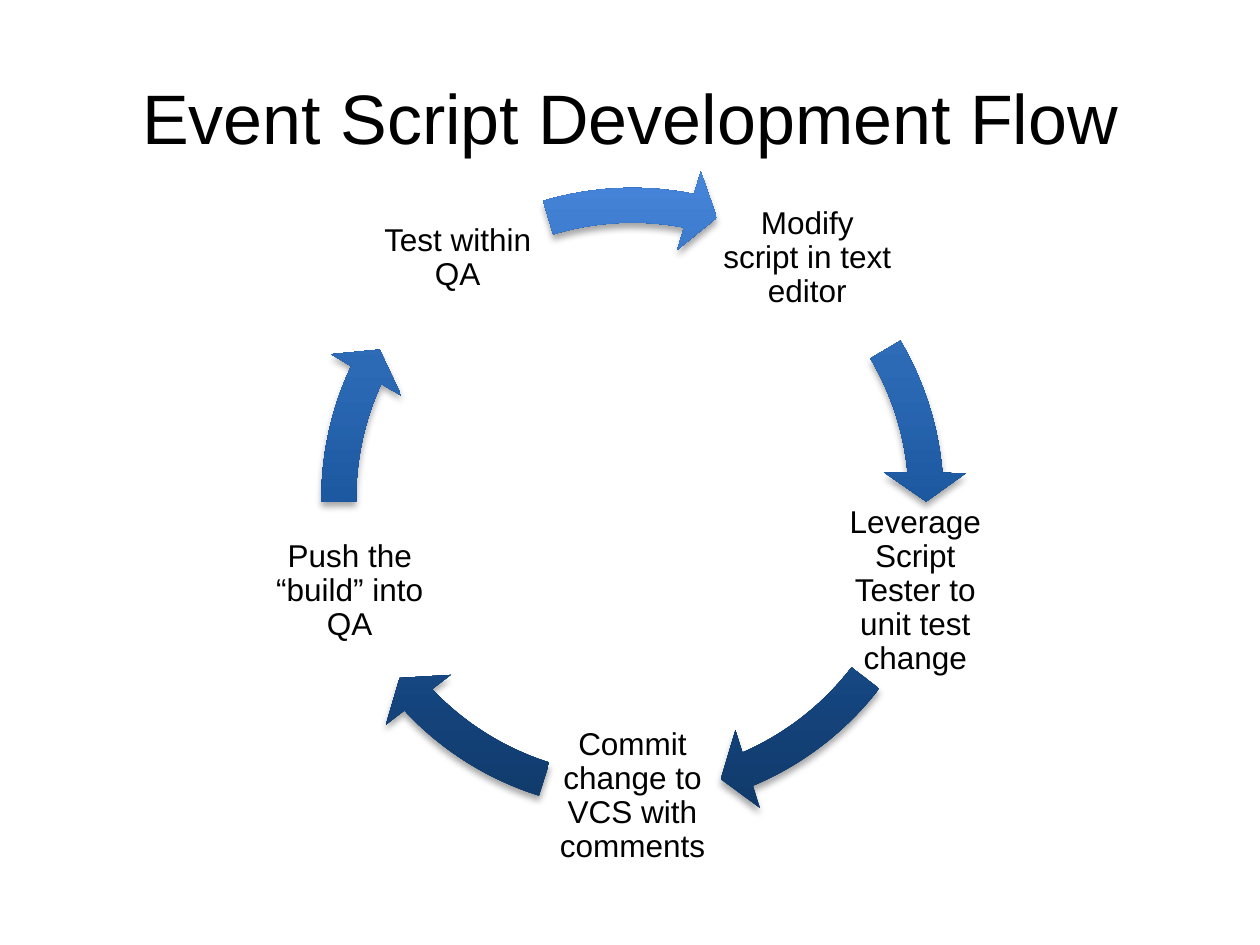
from math import cos, radians, sin

from lxml import etree
from pptx import Presentation
from pptx.dml.color import RGBColor
from pptx.enum.shapes import MSO_SHAPE
from pptx.enum.text import MSO_ANCHOR, PP_ALIGN
from pptx.oxml import parse_xml
from pptx.oxml.ns import nsdecls
from pptx.util import Inches, Pt

ARROW = MSO_SHAPE.CIRCULAR_ARROW
MIDDLE, CENTER = MSO_ANCHOR.MIDDLE, PP_ALIGN.CENTER
BLACK = RGBColor(0, 0, 0)
SHADES = [
    (0, RGBColor(0x0F, 0x37, 0x66)),
    (50, RGBColor(0x1D, 0x59, 0xA1)),
    (70, RGBColor(0x2D, 0x6A, 0xB6)),
    (100, RGBColor(0x47, 0x86, 0xDB)),
]

# Content: step text, then start and end angle of the arrow that leaves it
TITLE = "Event Script Development Flow"
STEPS = [
    ("Modify script in text editor", 329.44, 354.89),
    ("Leverage Script Tester to unit test change", 37.56, 66.91),
    ("Commit change to VCS with comments", 107.49, 136.85),
    ("Push the “build” into QA", 179.51, 204.97),
    ("Test within QA", 253.31, 281.1),
]

# Ring geometry in inches and degrees
MID_X, MID_Y, RADIUS = 5.02, 3.96, 2.36
BOX, RING, INSET = 1.42, 5.31, 0.03
FIRST, TURN = -54, 360 / len(STEPS)
BAND, HEAD, WING = 0.052, 5.6, 0.061
UNIT = 0.6  # adjustment value of one degree


def square(x, y, size):
    """Left, top, width and height of a square centred on x, y."""
    return [Inches(v) for v in (x - size / 2, y - size / 2, size, size)]


def write(frame, text, size):
    frame.word_wrap = True
    frame.vertical_anchor = MIDDLE
    par = frame.paragraphs[0]
    par.alignment = CENTER
    run = par.add_run()
    run.text = text
    for name, value in {"name": "Arial", "size": Pt(size)}.items():
        setattr(run.font, name, value)
    run.font.color.rgb = BLACK
    return par


def add_step(shapes, text, angle):
    x = MID_X + RADIUS * cos(radians(angle))
    y = MID_Y + RADIUS * sin(radians(angle))
    frame = shapes.add_textbox(*square(x, y, BOX)).text_frame
    for side in ("left", "top", "right", "bottom"):
        setattr(frame, "margin_" + side, Inches(INSET))
    write(frame, text, 18).line_spacing = 0.9


def add_arrow(shapes, start, end):
    arrow = shapes.add_shape(ARROW, *square(MID_X, MID_Y, RING))
    values = (BAND, HEAD * UNIT, end * UNIT, start * UNIT, WING)
    for i, value in enumerate(values):
        arrow.adjustments[i] = value
    # Gradient from dark at the bottom to light at the top
    stops = "".join(
        f'<a:gs pos="{pos * 1000}"><a:srgbClr val="{color}"/></a:gs>'
        for pos, color in SHADES)
    props = arrow.fill._xPr
    props.append(parse_xml(
        f'<a:gradFill {nsdecls("a")} rotWithShape="1"><a:gsLst>{stops}</a:gsLst>'
        '<a:lin ang="16200000" scaled="0"/></a:gradFill>'))
    arrow.line.fill.background()
    # Soft shadow straight below
    arrow.shadow.inherit = False
    effects = props.find("{*}effectLst")
    shadow = parse_xml(
        f'<a:outerShdw {nsdecls("a")} blurRad="{Pt(4)}" dist="{Pt(3)}" '
        'dir="5400000" rotWithShape="0"><a:srgbClr val="000000">'
        '<a:alpha val="35000"/></a:srgbClr></a:outerShdw>')
    effects.append(shadow)
    etree.cleanup_namespaces(effects)


def main():
    deck = Presentation()
    deck.slide_width, deck.slide_height = Inches(10), Inches(7.5)
    slide = deck.slides.add_slide(deck.slide_layouts[5])

    # Title
    title = slide.shapes.title
    place = {"left": 0.5, "top": 0.3, "width": 9, "height": 1.25}
    for name, value in place.items():
        setattr(title, name, Inches(value))
    write(title.text_frame, TITLE, 40)

    # Cycle of steps and arrows
    cycle = slide.shapes.add_group_shape().shapes
    for i, (text, start, end) in enumerate(STEPS):
        add_step(cycle, text, FIRST + i * TURN)
        add_arrow(cycle, start, end)

    deck.save("out.pptx")


if __name__ == "__main__":
    main()
